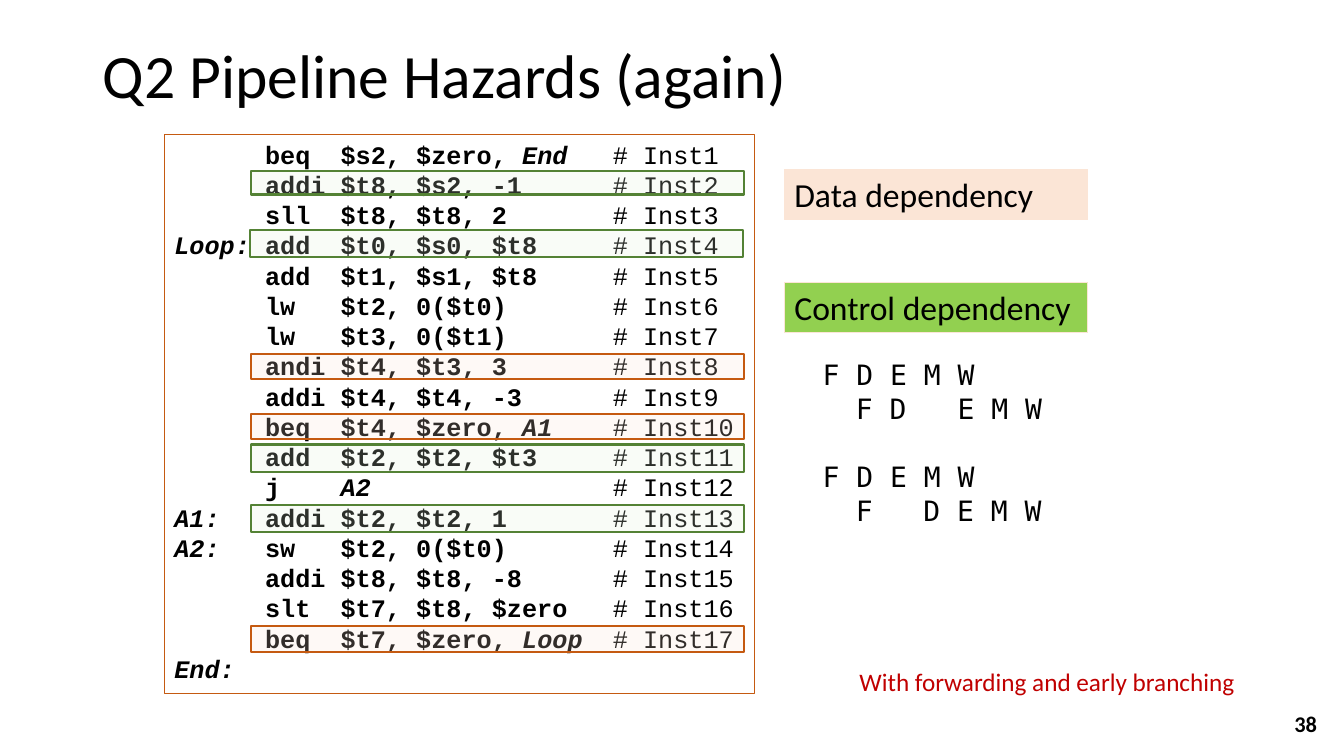
"""Build the slide on pipeline hazards in a MIPS loop."""
from lxml import etree
from pptx import Presentation
from pptx.dml.color import RGBColor
from pptx.enum import shapes, text
from pptx.oxml import ns
from pptx.util import Inches, Pt

BLACK = RGBColor(0x00, 0x00, 0x00)
RED = RGBColor(0xC0, 0x00, 0x00)
ORANGE = RGBColor(0xC5, 0x5A, 0x11)
PEACH = RGBColor(0xFB, 0xE5, 0xD6)
LIME = RGBColor(0x92, 0xD0, 0x50)
GREEN = RGBColor(0x54, 0x82, 0x35)
PALE_GREEN = RGBColor(0xE2, 0xF0, 0xD9)

CODE_TABS = (0.9, 1.65, 4.35)
INSTRUCTIONS = [
    ("", "beq", "$s2, $zero, ", "End"),
    ("", "addi", "$t8, $s2, -1", ""),
    ("", "sll", "$t8, $t8, 2", ""),
    ("Loop:", "add", "$t0, $s0, $t8", ""),
    ("", "add", "$t1, $s1, $t8", ""),
    ("", "lw", "$t2, 0($t0)", ""),
    ("", "lw", "$t3, 0($t1)", ""),
    ("", "andi", "$t4, $t3, 3", ""),
    ("", "addi", "$t4, $t4, -3", ""),
    ("", "beq", "$t4, $zero, ", "A1"),
    ("", "add", "$t2, $t2, $t3", ""),
    ("", "j", "", "A2"),
    ("A1:", "addi", "$t2, $t2, 1", ""),
    ("A2:", "sw", "$t2, 0($t0)", ""),
    ("", "addi", "$t8, $t8, -8", ""),
    ("", "slt", "$t7, $t8, $zero", ""),
    ("", "beq", "$t7, $zero, ", "Loop"),
]
DATA_MARKS = [(2.49, 3.51, 0.25), (2.49, 4.11, 0.25), (2.49, 6.21, 0.26)]
CONTROL_MARKS = [(2.49, 1.7, 0.23), (2.49, 4.41, 0.27),
                 (2.49, 5.01, 0.27), (2.48, 2.28, 0.27)]


def style(paragraph, size, font="Calibri", color=BLACK, align=text.PP_ALIGN.LEFT):
    """Set the font and alignment of a paragraph."""
    paragraph.font.size = Pt(size)
    paragraph.font.name = font
    paragraph.font.color.rgb = color
    paragraph.alignment = align


def set_tabs(paragraph, stops):
    """Give a paragraph left tab stops, in inches."""
    tabs = etree.Element(ns.qn("a:tabLst"))
    for stop in stops:
        etree.SubElement(tabs, ns.qn("a:tab"), pos=str(Inches(stop)), algn="l")
    properties = paragraph._p.get_or_add_pPr()
    defaults = properties.find(ns.qn("a:defRPr"))
    if defaults is None:
        properties.append(tabs)
    else:
        defaults.addprevious(tabs)


def add_box(slide, left, top, width, height, line, weight, fill=None, opacity=100):
    """Add an outlined rectangle, optionally with a translucent fill."""
    box = slide.shapes.add_shape(shapes.MSO_SHAPE.RECTANGLE, Inches(left),
                                 Inches(top), Inches(width), Inches(height))
    box.shadow.inherit = False
    box.line.color.rgb = line
    box.line.width = Pt(weight)
    if fill is None:
        box.fill.background()
    else:
        box.fill.solid()
        box.fill.fore_color.rgb = fill
    if opacity < 100:
        color = box._element.spPr.find(ns.qn("a:solidFill"))[0]
        etree.SubElement(color, ns.qn("a:alpha"), val=str(opacity * 1000))
    box.text_frame.word_wrap = True
    box.text_frame.vertical_anchor = text.MSO_ANCHOR.TOP
    return box


def add_text(slide, left, top, width, height, words, size, **look):
    """Add a one-paragraph text box and return its paragraph."""
    frame = slide.shapes.add_textbox(Inches(left), Inches(top), Inches(width),
                                     Inches(height)).text_frame
    frame.word_wrap = True
    paragraph = frame.paragraphs[0]
    paragraph.text = words
    style(paragraph, size, **look)
    return paragraph


def add_title(slide, words):
    """Place and format the title."""
    title = slide.shapes.title
    title.left, title.top = Inches(0.92), Inches(0.4)
    title.width, title.height = Inches(11.5), Inches(1.45)
    frame = title.text_frame
    frame.text = words
    frame.auto_size = text.MSO_AUTO_SIZE.NONE
    frame.vertical_anchor = text.MSO_ANCHOR.TOP
    style(frame.paragraphs[0], 44)
    frame.paragraphs[0].line_spacing = 0.9


def add_code_line(paragraph, pieces):
    """Fill a code line with (words, bold, italic) pieces."""
    style(paragraph, 18, "Courier New")
    set_tabs(paragraph, CODE_TABS)
    for words, bold, italic in pieces:
        if words:
            run = paragraph.add_run()
            run.text = words
            run.font.bold = bold
            run.font.italic = italic


def add_listing(slide):
    """Add the framed and numbered assembly listing."""
    frame = add_box(slide, 1.63, 1.33, 5.85, 5.55, ORANGE, 0.75).text_frame
    for number, (label, operation, operands, target) in enumerate(INSTRUCTIONS, 1):
        line = frame.paragraphs[0] if number == 1 else frame.add_paragraph()
        add_code_line(line, [(label, True, True),
                             (f"\t{operation}\t{operands}", True, False),
                             (target, True, True),
                             (f"\t# Inst{number}", False, False)])
    add_code_line(frame.add_paragraph(), [("End:", True, True)])


def add_label(slide, top, words, fill):
    """Add a filled legend label."""
    box = add_box(slide, 7.78, top, 3.01, 0.5, PEACH, 0.75, fill)
    box.text_frame.text = words
    style(box.text_frame.paragraphs[0], 24)


def add_marks(slide, marks, line, fill):
    """Highlight instructions with translucent frames."""
    for left, top, height in marks:
        add_box(slide, left, top, 4.89, height, line, 1.5, fill, 20)


def add_stages(slide, top, second_row, stops):
    """Add two overlapping rows of pipeline stages."""
    first = add_text(slide, 8.06, top, 3.01, 0.77, "F D E M W", 20,
                     font="DejaVu Sans Mono")
    second = first._parent.add_paragraph()
    second.text = second_row
    style(second, 20, "DejaVu Sans Mono")
    set_tabs(second, stops)


def main():
    """Build and save the slide."""
    deck = Presentation()
    deck.slide_width, deck.slide_height = Inches(13.33), Inches(7.5)
    slide = deck.slides.add_slide(deck.slide_layouts[5])
    add_title(slide, "Q2 Pipeline Hazards (again)")
    add_listing(slide)
    add_label(slide, 1.68, "Data dependency", PEACH)
    add_marks(slide, DATA_MARKS, ORANGE, PEACH)
    add_label(slide, 2.8, "Control dependency", LIME)
    add_marks(slide, CONTROL_MARKS, GREEN, PALE_GREEN)
    add_text(slide, 7.81, 6.56, 5.15, 0.4, "With forwarding and early branching",
             18, color=RED, align=text.PP_ALIGN.CENTER)
    add_stages(slide, 3.5, "\tF D\tE M W", (0.33, 1.34))
    add_stages(slide, 4.51, "\tF\tD E M W", (0.33, 1))
    page = add_text(slide, 10.16, 6.98, 3, 0.4, "38", 16,
                    align=text.PP_ALIGN.RIGHT)
    page.font.bold = True
    page._parent.vertical_anchor = text.MSO_ANCHOR.MIDDLE
    deck.save("out.pptx")


if __name__ == "__main__":
    main()
